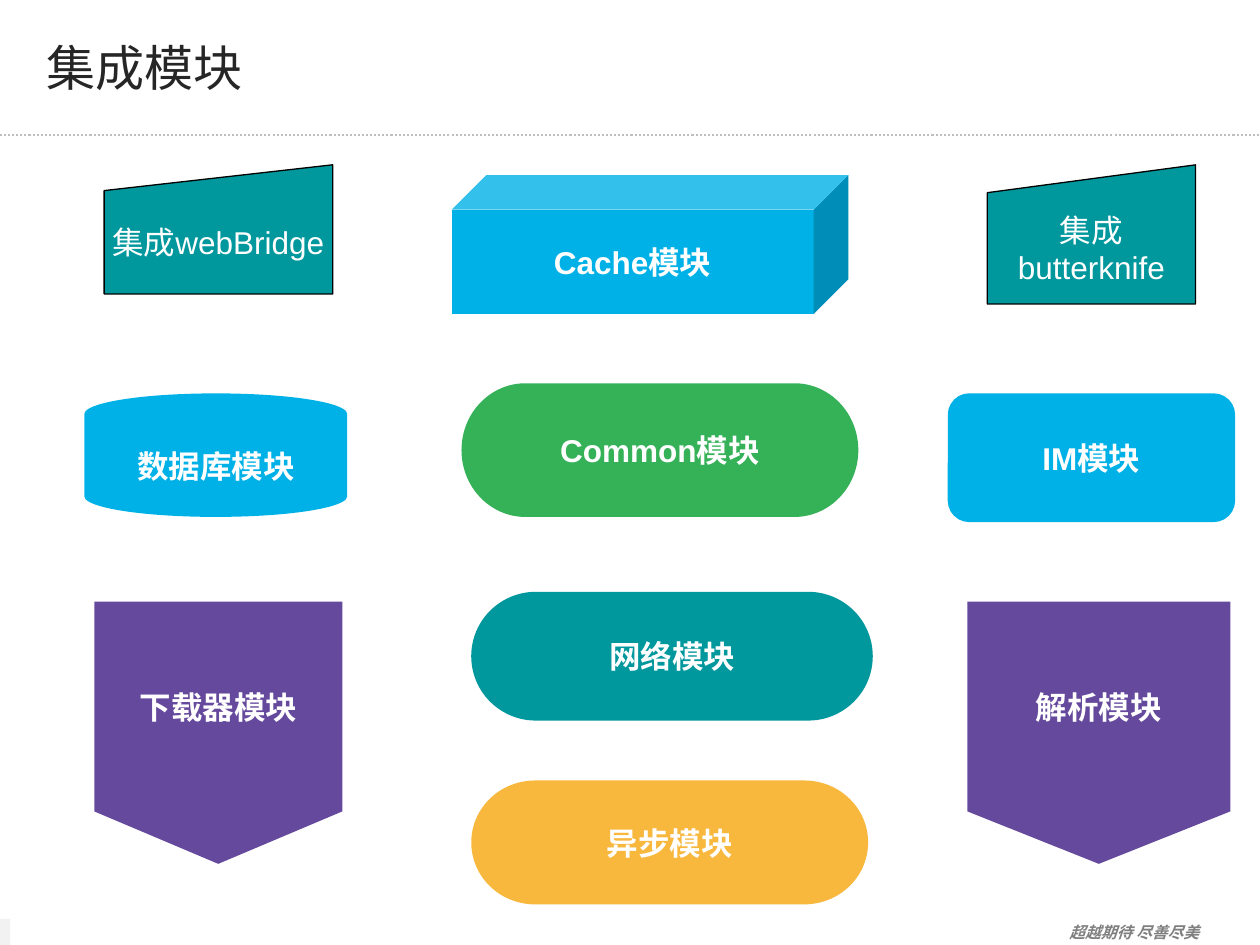
from lxml import etree
from pptx import Presentation
from pptx import util as u
from pptx.dml import color
from pptx.enum import dml, shapes, text
from pptx.oxml import ns

COLORS = {
    "teal": "00979D", "blue": "00B1E7", "green": "35B158",
    "purple": "65499D", "orange": "F8B73D", "white": "FFFFFF",
    "black": "000000", "title": "262626", "slogan": "7F7F7F",
    "rule": "BFBFBF", "corner": "F2F2F2",
}
KIND = shapes.MSO_SHAPE


def rgb(name):
    return color.RGBColor.from_string(COLORS[name])


def write(box, lines, size, font, ink, bold=False, italic=False, align=None):
    frame = box.text_frame
    frame.vertical_anchor = text.MSO_ANCHOR.MIDDLE
    frame.text = "\n".join(lines)
    for para in frame.paragraphs:
        para.alignment = align
        para.font.size = u.Pt(size)
        para.font.name = font
        para.font.bold = bold
        para.font.italic = italic
        para.font.color.rgb = rgb(ink)


deck = Presentation()
deck.slide_width, deck.slide_height = u.Pt(720), u.Pt(540)
page = deck.slides.add_slide(deck.slide_layouts[6])

# Dotted rule under the title
rule = page.shapes.add_connector(
    shapes.MSO_CONNECTOR.STRAIGHT, u.Pt(0), u.Pt(77), u.Pt(720), u.Pt(77))
rule.line.color.rgb = rgb("rule")
rule.line.width = u.Pt(1.16)
rule.line.dash_style = dml.MSO_LINE.ROUND_DOT
etree.SubElement(rule._element.spPr, ns.qn("a:effectLst"))

# Grey corner mark
corner = page.shapes.add_shape(
    KIND.RECTANGLE, u.Pt(0), u.Pt(525), u.Pt(5.8), u.Pt(15))
corner.shadow.inherit = False
corner.fill.solid()
corner.fill.fore_color.rgb = rgb("corner")
corner.line.fill.background()

# Slogan and title
slogan = page.shapes.add_textbox(u.Pt(604), u.Pt(525), u.Pt(96.5), u.Pt(15))
slogan.text_frame.word_wrap = True
write(slogan, ["超越期待 尽善尽美"], 9, "Calibri", "slogan", bold=True, italic=True)

title = page.shapes.add_textbox(u.Pt(19.4), u.Pt(4.9), u.Pt(680.4), u.Pt(67))
title.text_frame.word_wrap = True
write(title, ["集成模块"], 28, "Calibri", "title")

# Modules: kind, left, top, width, height, fill, lines
modules = [
    (KIND.FLOWCHART_TERMINATOR, 269.3, 338.2, 229.5, 73.6, "teal", ["网络模块"]),
    (KIND.FLOWCHART_TERMINATOR, 269.3, 446, 226.8, 70.8, "orange", ["异步模块"]),
    (KIND.CUBE, 258, 100, 226.8, 79.4, "blue", ["Cache模块"]),
    (KIND.FLOWCHART_OFFPAGE_CONNECTOR, 552.8, 343.8, 150.2, 149.8, "purple", ["解析模块"]),
    (KIND.FLOWCHART_MAGNETIC_DISK, 48.2, 224.8, 150.2, 70.6, "blue", ["数据库模块"]),
    (KIND.FLOWCHART_OFFPAGE_CONNECTOR, 53.9, 343.8, 141.7, 149.8, "purple", ["下载器模块"]),
    (KIND.FLOWCHART_TERMINATOR, 263.7, 219, 226.8, 76.4, "green", ["Common模块"]),
    (KIND.FLOWCHART_ALTERNATE_PROCESS, 541.6, 224.8, 164.2, 73.6, "blue", ["IM模块"]),
    (KIND.FLOWCHART_MANUAL_INPUT, 59.5, 94.2, 130.6, 73.8, "teal", ["集成webBridge"]),
    (KIND.FLOWCHART_MANUAL_INPUT, 564.2, 94.2, 119, 79.5, "teal", ["集成", "butterknife"]),
]
for kind, left, top, width, height, fill, lines in modules:
    box = page.shapes.add_shape(
        kind, u.Pt(left), u.Pt(top), u.Pt(width), u.Pt(height))
    box.shadow.inherit = False
    box.fill.solid()
    box.fill.fore_color.rgb = rgb(fill)
    outlined = kind == KIND.FLOWCHART_MANUAL_INPUT
    if outlined:
        box.line.color.rgb = rgb("black")
        box.line.width = u.Pt(0.75)
    else:
        box.line.fill.background()
    box.text_frame.word_wrap = not outlined
    write(box, lines, 18, "Arial", "white", bold=not outlined,
          align=text.PP_ALIGN.CENTER)

deck.save("out.pptx")
